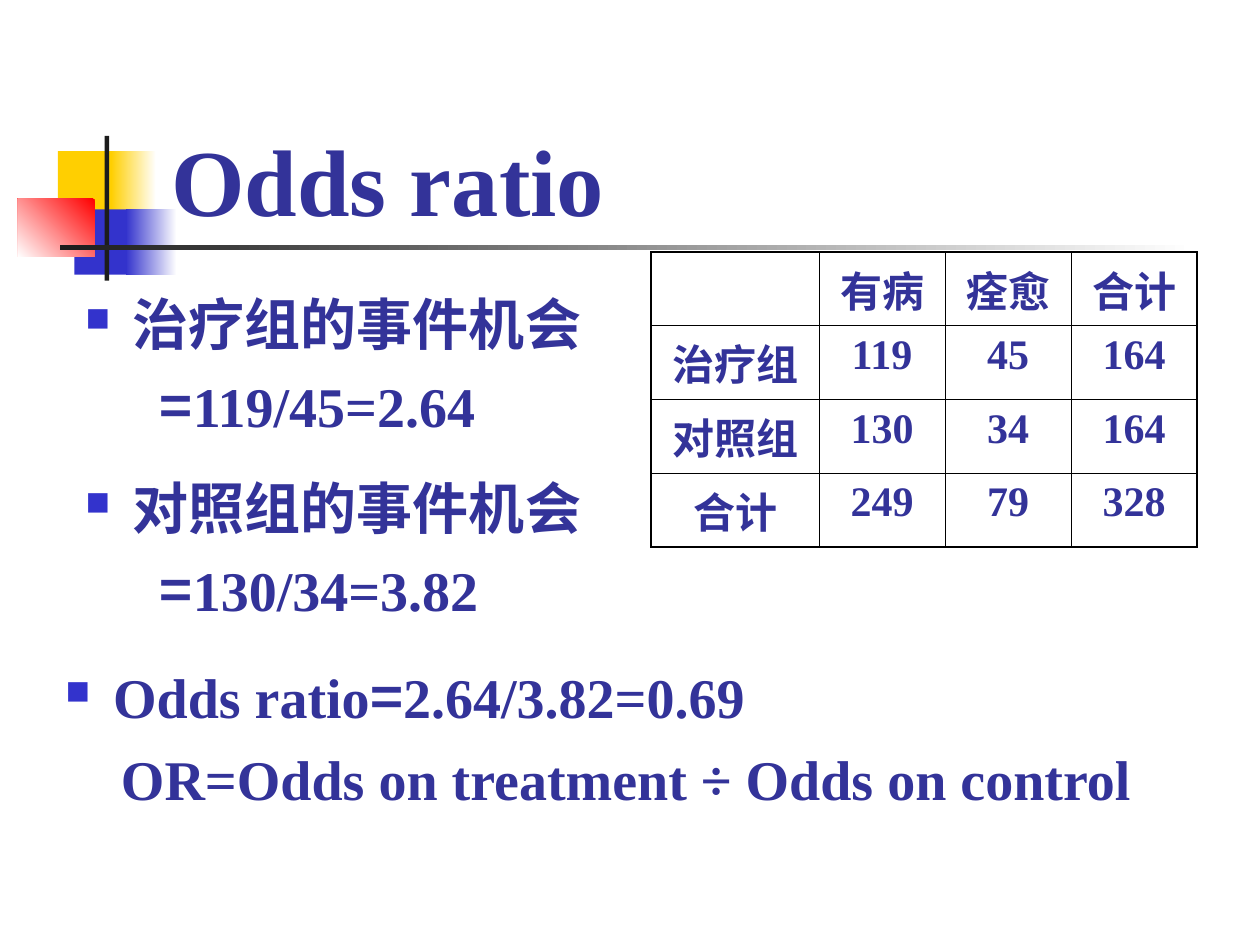
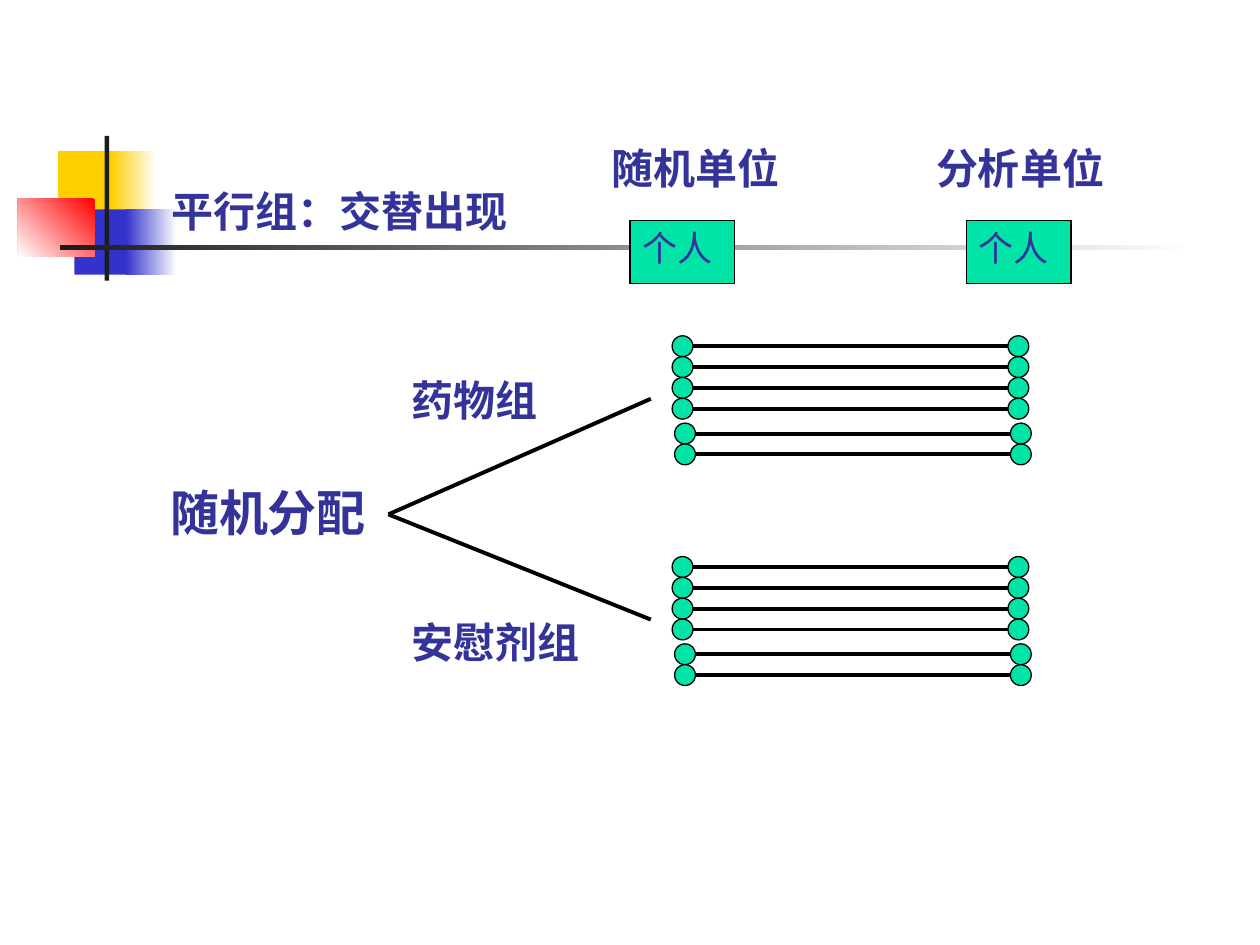
import pptx
import pptx.dml.color
import pptx.enum.shapes
import pptx.enum.text
import pptx.oxml.ns
import pptx.util
from lxml import etree

Cm = pptx.util.Cm
Pt = pptx.util.Pt
RGBColor = pptx.dml.color.RGBColor
MSO_SHAPE = pptx.enum.shapes.MSO_SHAPE
ANCHOR = pptx.enum.text.MSO_ANCHOR
ALIGN = pptx.enum.text.PP_ALIGN
qn = pptx.oxml.ns.qn

INDIGO = RGBColor(0x33, 0x33, 0x99)
BLUE = RGBColor(0x33, 0x33, 0xCC)
YELLOW = RGBColor(0xFF, 0xCF, 0x01)
RED = RGBColor(0xFF, 0x00, 0x00)
CHARCOAL = RGBColor(0x1C, 0x1C, 0x1C)
GREEN = RGBColor(0x00, 0xE4, 0xA8)
BLACK = RGBColor(0x00, 0x00, 0x00)
WHITE = RGBColor(0xFF, 0xFF, 0xFF)

SERIF = "Times New Roman"
HAN = "Noto Sans CJK SC"
SANS = "Roboto"


def add_child(parent, tag, **attributes):
    return etree.SubElement(parent, qn(tag), attributes)


def add_run(paragraph, text, size, font, bold=True):
    run = paragraph.add_run()
    run.text = text
    run.font.size = Pt(size)
    run.font.bold = bold
    run.font.color.rgb = INDIGO
    run.font.name = font
    add_child(run.font._element, "a:ea", typeface=font)


def add_text_frame(slide, left, top, width, height):
    frame = slide.shapes.add_textbox(Cm(left), Cm(top), Cm(width), Cm(height)).text_frame
    frame.word_wrap = True
    return frame


def add_label(slide, text, left, top, width, height=1.5, size=24, font=SANS):
    """One line of bold text that sits on the bottom of its box."""
    frame = add_text_frame(slide, left, top, width, height)
    frame.vertical_anchor = ANCHOR.BOTTOM
    add_run(frame.paragraphs[0], text, size, font)


def add_filled(slide, preset, left, top, width, height, color, fade=None, outlined=False):
    """A preset shape; fade is (end colour, counter-clockwise angle)."""
    shape = slide.shapes.add_shape(preset, Cm(left), Cm(top), Cm(width), Cm(height))
    shape.shadow.inherit = False
    if fade:
        end_color, angle = fade
        shape.fill.gradient()
        shape.fill.gradient_angle = angle
        for stop, stop_color in zip(shape.fill.gradient_stops, (color, end_color)):
            stop.color.rgb = stop_color
    else:
        shape.fill.solid()
        shape.fill.fore_color.rgb = color
    if outlined:
        shape.line.color.rgb = BLACK
        shape.line.width = Pt(0.75)
    else:
        shape.line.fill.background()
    return shape


def add_line(slide, x1, y1, x2, y2):
    line = slide.shapes.add_connector(
        pptx.enum.shapes.MSO_CONNECTOR.STRAIGHT, Cm(x1), Cm(y1), Cm(x2), Cm(y2))
    line.line.color.rgb = BLACK
    line.line.width = Pt(2.25)
    add_child(line._element.spPr, "a:effectLst")


def add_corner_motif(slide):
    """Overlapping colour blocks with the crossing rules below the title."""
    blocks = [
        (1.17, 3.05, 1.22, 1.32, YELLOW, None),
        (2.24, 3.05, 0.91, 1.32, WHITE, (YELLOW, 180)),
        (1.5, 4.22, 1.17, 1.32, BLUE, None),
        (2.54, 4.22, 1.02, 1.32, WHITE, (BLUE, 180)),
        (0.36, 4.01, 1.55, 1.17, RED, (WHITE, 225)),
        (2.11, 2.74, 0.09, 2.92, CHARCOAL, None),
        (1.22, 4.94, 22.86, 0.1, WHITE, (CHARCOAL, 180)),
    ]
    for block in blocks:
        add_filled(slide, MSO_SHAPE.RECTANGLE, *block)


def add_bullet(paragraph):
    properties = paragraph._p.get_or_add_pPr()
    properties.set("marL", str(Cm(0.96)))
    properties.set("indent", str(Cm(-0.96)))
    add_child(add_child(properties, "a:buClr"), "a:srgbClr", val=str(BLUE))
    add_child(properties, "a:buSzPct", val="60000")
    add_child(properties, "a:buChar", char="■")


def add_statement(slide, left, top, width, heading, formula, formula_indent):
    """A bulleted heading and an indented formula, each a list of (text, font)."""
    frame = add_text_frame(slide, left, top, width, 3.28)
    frame.margin_top = Cm(0.23)
    first, second = frame.paragraphs[0], frame.add_paragraph()
    add_bullet(first)
    second._p.get_or_add_pPr().set("marL", str(Cm(formula_indent)))
    second.space_before = Pt(8)
    for paragraph, pieces in ((first, heading), (second, formula)):
        paragraph.line_spacing = Pt(38.5)
        for text, font in pieces:
            add_run(paragraph, text, 32, font)


def set_borders(cell, sides):
    """Draw the four borders; sides maps each side to whether it is an outer one."""
    properties = cell._tc.get_or_add_tcPr()
    for side in "LRTB":
        width = Pt(1.08 if sides[side] else 0.45)
        border = add_child(properties, f"a:ln{side}", w=str(width))
        add_child(add_child(border, "a:solidFill"), "a:srgbClr", val=str(BLACK))


def add_count_table(slide, left, top, width, height):
    counts = [
        ("", "有病", "痊愈", "合计"),
        ("治疗组", "119", "45", "164"),
        ("对照组", "130", "34", "164"),
        ("合计", "249", "79", "328"),
    ]
    last = len(counts) - 1
    table = slide.shapes.add_table(
        len(counts), len(counts[0]), Cm(left), Cm(top), Cm(width), Cm(height)).table
    table.first_row = table.horz_banding = False
    count_width = 2.54
    for column in table.columns:
        column.width = Cm(count_width)
    table.columns[0].width = Cm(width - count_width * last)
    for r, row in enumerate(counts):
        for c, text in enumerate(row):
            cell = table.cell(r, c)
            set_borders(cell, {"L": c == 0, "R": c == last, "T": r == 0, "B": r == last})
            cell.fill.background()
            paragraph = cell.text_frame.paragraphs[0]
            paragraph.alignment = ALIGN.CENTER
            if text:
                add_run(paragraph, text, 24, SERIF if text.isdigit() else HAN)


def add_unit(slide, left, heading, heading_left):
    """A unit heading above its green box."""
    add_label(slide, heading, heading_left, 2.51, 4.45)
    box = add_filled(slide, MSO_SHAPE.RECTANGLE, left, 4.45, 2.11, 1.27, GREEN, outlined=True)
    frame = box.text_frame
    frame.vertical_anchor = ANCHOR.BOTTOM
    frame.margin_bottom = Cm(0.3)
    frame.paragraphs[0].alignment = ALIGN.LEFT
    add_run(frame.paragraphs[0], "个人", 20, SANS, bold=False)


def add_subjects(slide, left, top):
    """Six subjects, each linked from randomisation to analysis: four, then two set apart."""
    dot, span = 0.42, 6.77
    for index in range(6):
        apart = index >= 4
        x = left + (0.05 if apart else 0)
        y = top + index * dot + (0.08 if apart else 0)
        for dot_left in (x, x + span):
            add_filled(slide, MSO_SHAPE.OVAL, dot_left, y, dot, dot, GREEN, outlined=True)
        add_line(slide, x + dot, y + dot / 2, x + span, y + dot / 2)


def build_odds_ratio(slide):
    add_corner_motif(slide)
    add_label(slide, "Odds ratio", 3.2, 1.7, 21.64, 3.18, 54, SERIF)
    groups = [("治疗组的事件机会", "119/45=2.64"), ("对照组的事件机会", "130/34=3.82")]
    for index, (heading, odds) in enumerate(groups):
        add_statement(slide, 1.47, 5.61 + index * 3.71, 11.33,
                      [(heading, HAN)], [("=", HAN), (odds, SERIF)], 1.5)
    add_count_table(slide, 13.13, 5.08, 11, 5.95)
    add_statement(slide, 1.07, 13.13, 23.06,
                  [("Odds ratio", SERIF), ("=", HAN), ("2.64/3.82=0.69", SERIF)],
                  [("OR=Odds on treatment ÷ Odds on control", SERIF)], 1.12)


def build_parallel_groups(slide):
    add_corner_motif(slide)
    add_label(slide, "平行组：交替出现", 3.2, 3.38, 7.6)
    add_unit(slide, 12.7, "随机单位", 12.07)
    add_unit(slide, 19.48, "分析单位", 18.62)
    for subjects_top, branch_end in ((6.77, 8.04), (11.22, 12.49)):
        add_subjects(slide, 13.55, subjects_top)
        add_line(slide, 7.83, 10.37, 13.12, branch_end)
    add_label(slide, "药物组", 8.04, 7.2, 4.45)
    add_label(slide, "安慰剂组", 8.04, 12.07, 4.45)
    add_label(slide, "随机分配", 3.18, 9.53, 5.5, size=28)


def main():
    deck = pptx.Presentation()
    deck.slide_width, deck.slide_height = Cm(25.4), Cm(19.05)
    for build in (build_odds_ratio, build_parallel_groups):
        build(deck.slides.add_slide(deck.slide_layouts[6]))
    deck.save("out.pptx")


if __name__ == "__main__":
    main()
